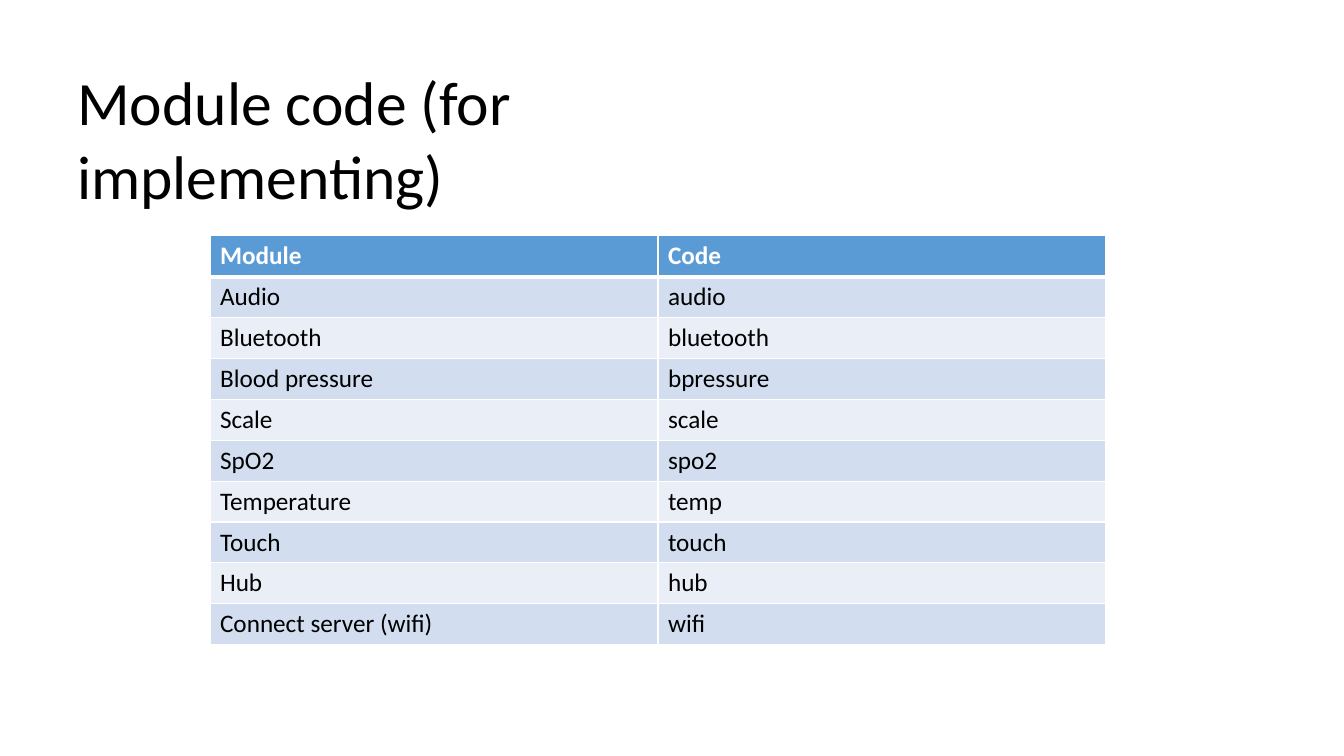
from lxml import etree
from pptx import Presentation
from pptx import util as u
from pptx.dml.color import RGBColor
from pptx.enum import text
from pptx.oxml.ns import qn

COLORS = {"white": "FFFFFF", "black": "000000", "header": "5B9BD5",
          "odd": "D2DEEF", "even": "EAEFF7"}
MODULES = [
    ("Module", "Code"),
    ("Audio", "audio"),
    ("Bluetooth", "bluetooth"),
    ("Blood pressure", "bpressure"),
    ("Scale", "scale"),
    ("SpO2", "spo2"),
    ("Temperature", "temp"),
    ("Touch", "touch"),
    ("Hub", "hub"),
    ("Connect server (wifi)", "wifi"),
]
ROW_HEIGHT = 29.2
COLUMN_WIDTH = 320


def write(frame, words, size=18, color="black", bold=False):
    """Put one formatted line of text into a text frame."""
    para = frame.paragraphs[0]
    para.alignment = text.PP_ALIGN.LEFT
    para.line_spacing = 1.0
    span = para.add_run()
    span.text = words
    span.font.name = "Calibri"
    span.font.size = u.Pt(size)
    span.font.bold = bold
    span.font.color.rgb = RGBColor.from_string(COLORS[color])


def add_border(cell, side, width):
    """Draw a white line on one side (L, R, T or B) of a table cell."""
    line = etree.SubElement(cell._tc.get_or_add_tcPr(), qn(f"a:ln{side}"),
                            w=str(u.Pt(width)))
    fill = etree.SubElement(line, qn("a:solidFill"))
    etree.SubElement(fill, qn("a:srgbClr"), val=COLORS["white"])


deck = Presentation()
deck.slide_width, deck.slide_height = u.Pt(960), u.Pt(540)
page = deck.slides.add_slide(deck.slide_layouts[5])

# Title, with a right inset that breaks it into two lines
title = page.shapes.title
title.left, title.top = u.Pt(48), u.Pt(42)
title.width, title.height = u.Pt(595.5), u.Pt(60.5)
frame = title.text_frame
frame.word_wrap = True
frame.auto_size = text.MSO_AUTO_SIZE.NONE
frame.vertical_anchor = text.MSO_ANCHOR.TOP
frame.margin_right = u.Pt(80)
write(frame, "Module code (for implementing)", size=44)

# Table of modules and their codes
table = page.shapes.add_table(
    len(MODULES), 2, u.Pt(150), u.Pt(168.5),
    u.Pt(2 * COLUMN_WIDTH), u.Pt(len(MODULES) * ROW_HEIGHT)).table
for column in table.columns:
    column.width = u.Pt(COLUMN_WIDTH)
for row, names in enumerate(MODULES):
    table.rows[row].height = u.Pt(ROW_HEIGHT)
    is_header = row == 0
    shade = "header" if is_header else "odd" if row % 2 else "even"
    for col, name in enumerate(names):
        cell = table.cell(row, col)
        write(cell.text_frame, name, bold=is_header,
              color="white" if is_header else "black")
        for side in "LRTB":
            thick = (row, side) in ((0, "B"), (1, "T"))
            add_border(cell, side, 3 if thick else 1)
        cell.fill.solid()
        cell.fill.fore_color.rgb = RGBColor.from_string(COLORS[shade])

deck.save("out.pptx")
